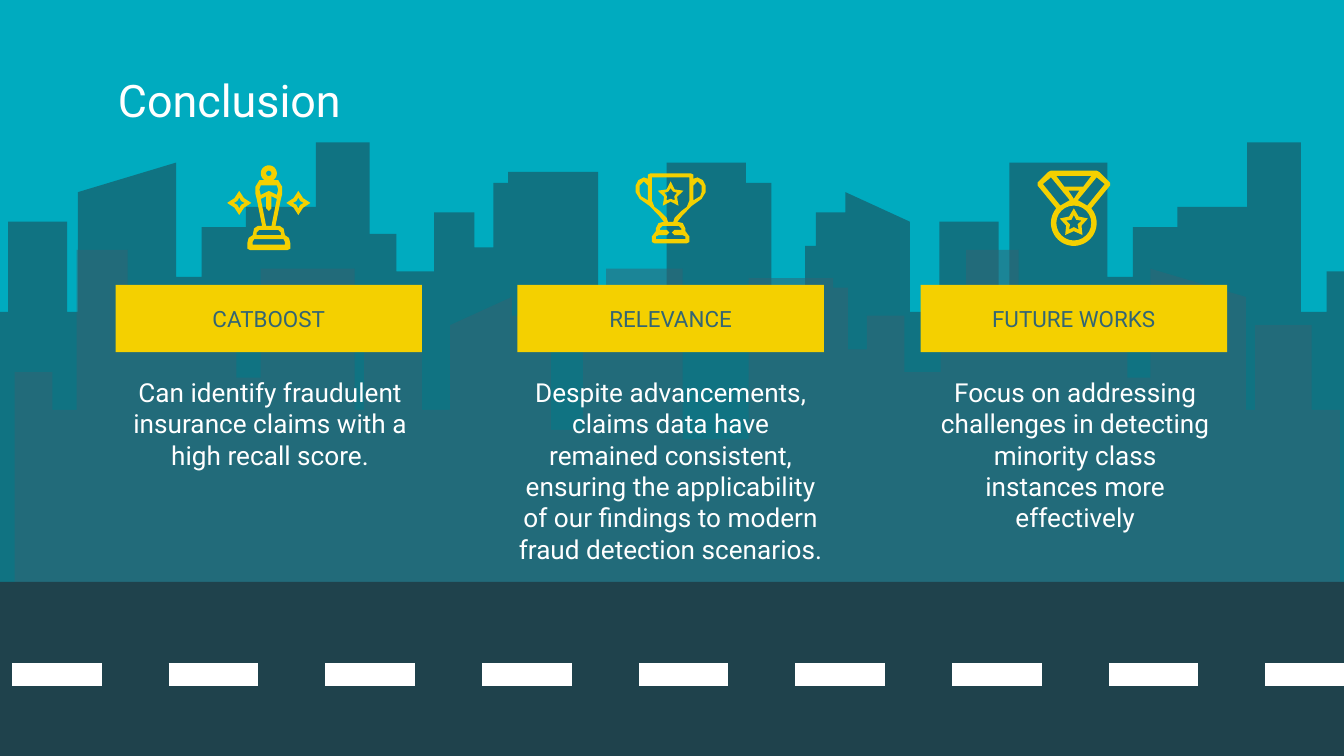
from math import cos, pi, radians, sin

from lxml import etree
from pptx import Presentation
from pptx import util as u
from pptx.dml.color import RGBColor
from pptx.enum import dml, shapes, text
from pptx.oxml.ns import qn

PX = 9144  # 100 px to the inch
HUES = {"sky": "00ABBF", "road": "1F424C", "slate": "336574",
        "gold": "F4D000", "white": "FFFFFF"}
FONT = "Roboto"

# Skylines: (right edge, roof height[, roof height at the right])
FAR = [(6, 232), (50, 165), (58, 232), (131, 143, 121), (150, 206), (183, 169),
       (235, 154), (275, 106), (295, 174), (323, 202), (353, 158), (367, 184),
       (378, 136), (445, 128), (496, 254), (555, 121), (574, 136), (599, 246),
       (607, 183), (629, 158), (677, 143, 165), (699, 232), (743, 165),
       (751, 232), (824, 121), (843, 206), (876, 169), (928, 154), (968, 106),
       (987, 232), (1016, 202)]
NEAR = [(39, 277), (57, 305), (95, 186), (145, 231), (176, 246), (194, 281),
        (264, 200), (271, 305), (314, 242), (335, 305), (381, 242, 221),
        (402, 235), (410, 259), (434, 320), (451, 214), (508, 200), (557, 327),
        (620, 207), (631, 214), (645, 260), (673, 235), (700, 277), (719, 250),
        (758, 186), (807, 231), (839, 246), (856, 281), (927, 200, 221),
        (934, 305), (976, 242), (997, 305)]


def hue(name):
    return RGBColor.from_string(HUES[name])


def paint(shape, name, alpha=None):
    shape.shadow.inherit = False
    shape.fill.solid()
    shape.fill.fore_color.rgb = hue(name)
    shape.line.fill.background()
    if alpha:
        tint = shape.fill._xPr.find(qn("a:solidFill"))[0]
        etree.SubElement(tint, qn("a:alpha"), val=str(alpha * 1000))


def outline(slide, x, y, loops, name, alpha=None):
    """Fill closed loops as one shape; inner loops become holes."""
    loops = [[((x + a) * PX, (y + b) * PX) for a, b in loop] for loop in loops]
    pen = slide.shapes.build_freeform(*loops[0][0], scale=1)
    for i, loop in enumerate(loops):
        if i:
            pen.move_to(*loop[0])
        pen.add_line_segments(loop[1:], close=True)
    paint(pen.convert_to_shape(), name, alpha)


# Loop makers
def flip(half):
    return [(-x, y) for x, y in reversed(half)]


def even(*half):
    return list(half) + flip(half)


def arc(x, y, r, start, end, steps=24):
    turns = [radians(start + (end - start) * i / steps) for i in range(steps + 1)]
    return [(x + r * cos(t), y + r * sin(t)) for t in turns]


def star(x, y, tips, outer, inner):
    return [(x + r * sin(i * pi / tips), y - r * cos(i * pi / tips))
            for i in range(2 * tips) for r in [inner if i % 2 else outer]]


# Icons: x is the centre line, y the top
def statue(slide, x, y):
    outline(slide, x, y, [arc(0, 6, 6, 0, 360), arc(0, 6, 2, 0, 360)], "gold")
    outline(slide, x, y, [
        even((-7, 11), (-10, 16), (-10, 21), (-9, 25), (-5, 45), (-8, 45),
             (-11, 47), (-12, 52), (-15, 54), (-16, 58), (-16, 62), (-14, 63)),
        even((-6, 15), (-7, 18), (-6, 22), (0, 19)),
        even((0, 34), (-2, 32), (-2, 23), (-6, 25), (-2, 45)),
        even((-7, 48), (-9, 50), (-9, 52)),
        even((-11, 55), (-12, 57), (-12, 59))], "gold")
    for side in (22, -22):
        outline(slide, x, y, [star(side, 28, 4, 9, 5), star(side, 28, 4, 4, 2)],
                "gold")


def cup(slide, x, y):
    grip = [(-20, 6), (-17, 9), (-17, 20), (-22, 17), (-23, 14), (-23, 9)]
    outline(slide, x, y, [star(0, 16, 5, 10, 5), star(0, 16, 5, 5, 3)], "gold")
    outline(slide, x, y, [
        even((-15, 0), (-17, 1), (-17, 4), (-20, 3), (-24, 5), (-26, 9),
             (-26, 14), (-23, 19), (-16, 24), (-9, 31), (-5, 36), (-9, 37),
             (-11, 41), (-11, 43), (-14, 47), (-14, 51), (-12, 52)),
        grip, flip(grip),
        even((-14, 3), (-14, 20), (-12, 25), (-8, 28), (-3, 33), (-2, 36)),
        even((-6, 39), (-8, 41), (-8, 42), (-3, 42), (-1, 44), (-3, 46),
             (-9, 46), (-11, 47), (-11, 49))], "gold")


def medal(slide, x, y):
    strap = [(-17, 5), (-3, 22), (-10, 26), (-23, 10)]
    outline(slide, x, y, [star(0, 39, 5, 11, 6), star(0, 39, 5, 6, 3)], "gold")
    outline(slide, x, y, [
        even((-17, 0), (-19, 1), (-27, 9), (-27, 11),
             *arc(0, 39, 17, 220, 90)),
        strap, flip(strap), even((-13, 4), (-7, 12)), even((-4, 15), (0, 21)),
        arc(0, 39, 13, 0, 360)], "gold")


def write(shape, words, size, name, align, anchor):
    frame = shape.text_frame
    frame.word_wrap = True
    frame.vertical_anchor = anchor
    frame.margin_left = frame.margin_right = 10 * PX
    frame.margin_top = frame.margin_bottom = 10 * PX
    para = frame.paragraphs[0]
    para.alignment = align
    run = para.add_run()
    run.text = words
    run.font.size = u.Pt(size)
    run.font.name = FONT
    run.font.color.rgb = hue(name)


def block(slide, x, y, w, h, name):
    shape = slide.shapes.add_shape(shapes.MSO_SHAPE.RECTANGLE,
                                   x * PX, y * PX, w * PX, h * PX)
    paint(shape, name)
    return shape


def label(slide, x, y, w, h, words, size, align, anchor):
    box = slide.shapes.add_textbox(x * PX, y * PX, w * PX, h * PX)
    write(box, words, size, "white", align, anchor)


# Regions
def city(slide, left, base, roofs, name):
    loop, x = [(left, base)], left
    for right, top, *slope in roofs:
        loop += [(x, top), (right, slope[0] if slope else top)]
        x = right
    outline(slide, 0, 0, [loop + [(x, base)]], name, alpha=53)


def street(slide, x, y, w, h):
    block(slide, x, y, w, h, "road")
    mid = (y + h // 2) * PX
    lane = slide.shapes.add_connector(shapes.MSO_CONNECTOR.STRAIGHT,
                                      (x + 9) * PX, mid, (x + w) * PX, mid)
    lane.line.color.rgb = hue("white")
    lane.line.width = u.Pt(12)
    lane.line.dash_style = dml.MSO_LINE.DASH
    etree.SubElement(lane._element.spPr, qn("a:effectLst"))


def column(slide, x, y, w, head, body, inset, icon, lift):
    """Icon above a gold banner, body text below; inset widens the body."""
    icon(slide, x + w // 2, y - lift)
    banner = block(slide, x, y, w, 50, "gold")
    write(banner, head, 12, "slate", text.PP_ALIGN.CENTER, text.MSO_ANCHOR.MIDDLE)
    label(slide, x + inset, y + 58, w - 2 * min(inset, 0), 111, body, 14,
          text.PP_ALIGN.CENTER, text.MSO_ANCHOR.TOP)


def main():
    deck = Presentation()
    deck.slide_width, deck.slide_height = u.Inches(10), u.Inches(5.625)
    slide = deck.slides.add_slide(deck.slide_layouts[6])
    slide.background.fill.solid()
    slide.background.fill.fore_color.rgb = hue("sky")

    city(slide, -16, 438, FAR, "road")
    city(slide, 11, 463, NEAR, "slate")
    street(slide, 0, 433, 1000, 138)

    label(slide, 78, 43, 844, 63, "Conclusion", 24,
          text.PP_ALIGN.LEFT, text.MSO_ANCHOR.MIDDLE)
    for x, *parts in [
        (86, "CATBOOST", "Can identify fraudulent insurance claims with a "
         "high recall score.", 1, statue, 89),
        (385, "RELEVANCE", "Despite advancements, claims data have remained "
         "consistent, ensuring the applicability of our findings to modern "
         "fraud detection scenarios.", -12, cup, 83),
        (685, "FUTURE WORKS", "Focus on addressing challenges in detecting "
         "minority class instances more effectively", 1, medal, 85),
    ]:
        column(slide, x, 212, 228, *parts)
    deck.save("out.pptx")


if __name__ == "__main__":
    main()
